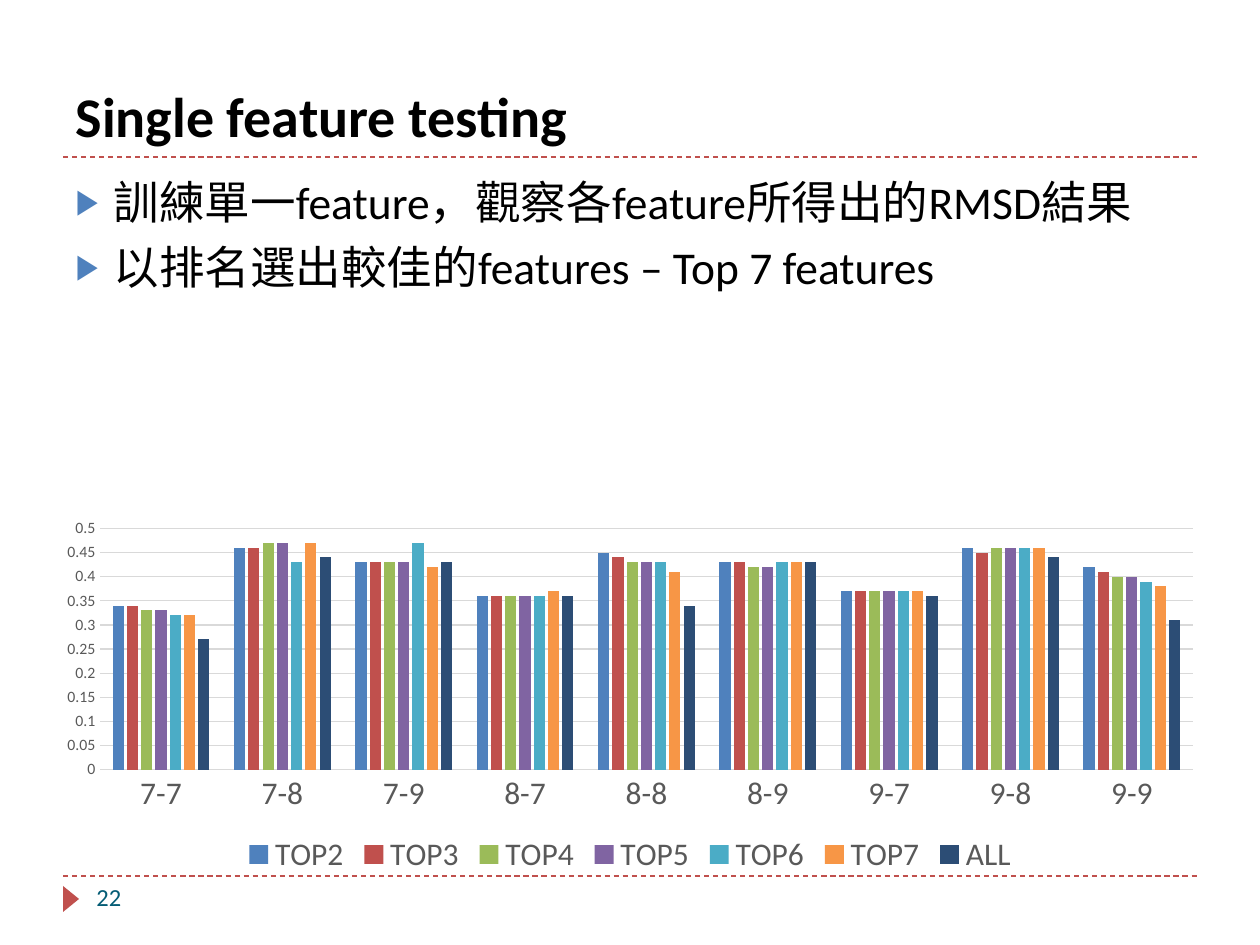
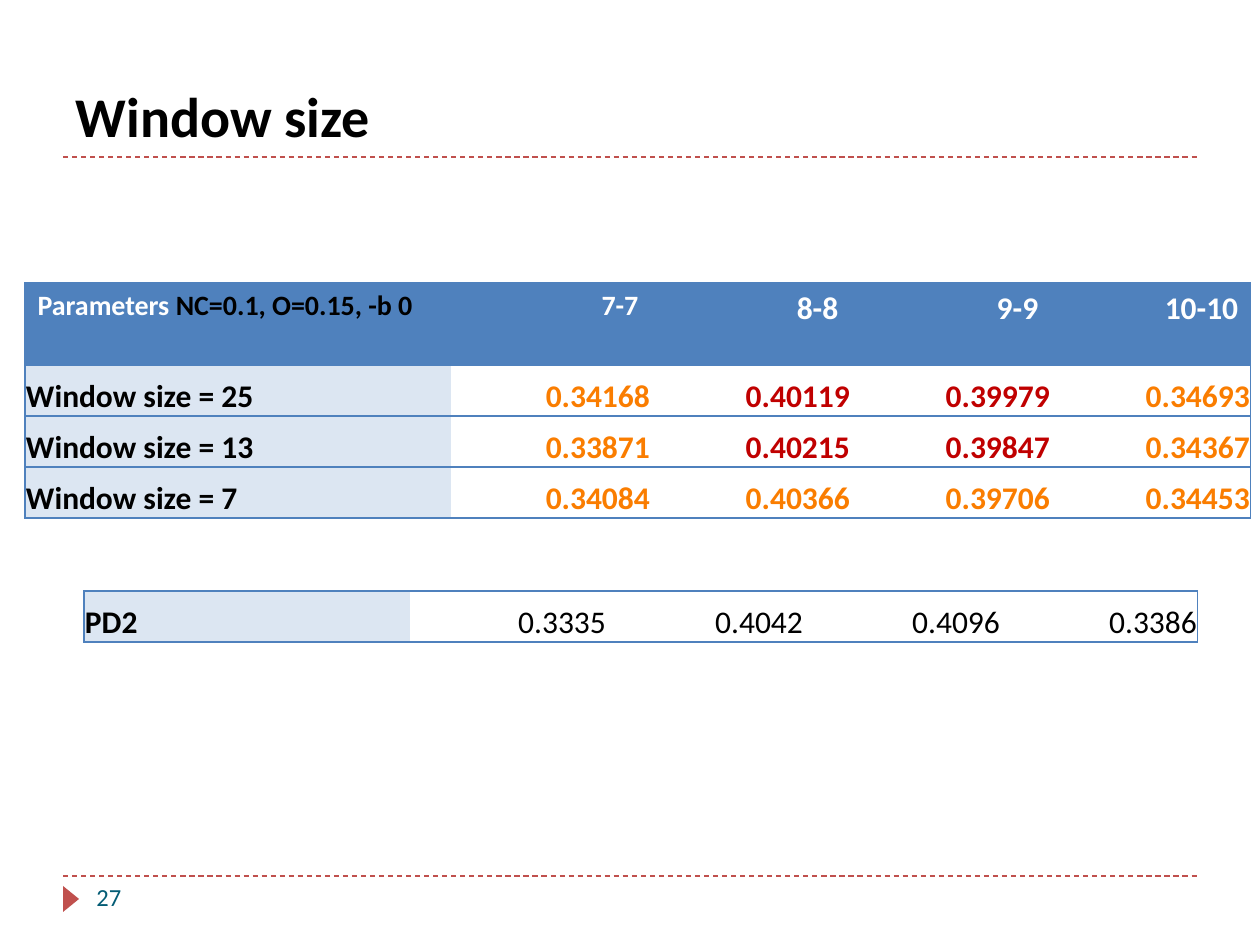
from lxml import etree
from pptx import Presentation
from pptx.chart.data import CategoryChartData
from pptx.dml.color import RGBColor
from pptx.enum.chart import XL_CHART_TYPE, XL_LEGEND_POSITION, XL_TICK_MARK
from pptx.enum.dml import MSO_LINE
from pptx.enum.shapes import MSO_CONNECTOR, MSO_SHAPE
from pptx.enum.text import MSO_ANCHOR, MSO_AUTO_SIZE, PP_ALIGN
from pptx.oxml.ns import qn
from pptx.util import Emu, Pt

FONT = "Calibri"
BLACK = RGBColor(0x00, 0x00, 0x00)
WHITE = RGBColor(0xFF, 0xFF, 0xFF)
BLUE = RGBColor(0x4F, 0x81, 0xBD)
PALE = RGBColor(0xDC, 0xE6, 0xF2)
BRICK = RGBColor(0xC0, 0x50, 0x4D)
TEAL = RGBColor(0x04, 0x5C, 0x75)
ORANGE = RGBColor(0xFA, 0x7D, 0x00)
RED = RGBColor(0xC0, 0x00, 0x00)
GREY = RGBColor(0x59, 0x59, 0x59)
GRID = RGBColor(0xD9, 0xD9, 0xD9)
GREEN = RGBColor(0x9B, 0xBB, 0x59)
PURPLE = RGBColor(0x80, 0x64, 0xA2)
AQUA = RGBColor(0x4B, 0xAC, 0xC6)
AMBER = RGBColor(0xF7, 0x96, 0x46)
NAVY = RGBColor(0x2C, 0x4D, 0x75)

PLAIN_STYLE = "{2D5ABB26-0587-4C30-8999-92F81FD0307C}"
CATS = ["7-7", "7-8", "7-9", "8-7", "8-8", "8-9", "9-7", "9-8", "9-9"]
SERIES = [
    ("TOP2", BLUE, (0.34, 0.46, 0.43, 0.36, 0.45, 0.43, 0.37, 0.46, 0.42)),
    ("TOP3", BRICK, (0.34, 0.46, 0.43, 0.36, 0.44, 0.43, 0.37, 0.45, 0.41)),
    ("TOP4", GREEN, (0.33, 0.47, 0.43, 0.36, 0.43, 0.42, 0.37, 0.46, 0.4)),
    ("TOP5", PURPLE, (0.33, 0.47, 0.43, 0.36, 0.43, 0.42, 0.37, 0.46, 0.4)),
    ("TOP6", AQUA, (0.32, 0.43, 0.47, 0.36, 0.43, 0.43, 0.37, 0.46, 0.39)),
    ("TOP7", AMBER, (0.32, 0.47, 0.42, 0.37, 0.41, 0.43, 0.37, 0.46, 0.38)),
    ("ALL", NAVY, (0.27, 0.44, 0.43, 0.36, 0.34, 0.43, 0.36, 0.44, 0.31)),
]
HEADS = [("7-7", 16), ("8-8", 18), ("9-9", 18), ("10-10", 18)]
# Each row: label, values, colour of the two middle values
SIZES = [
    ("Window size = 25", ("0.34168", "0.40119", "0.39979", "0.34693"), RED),
    ("Window size = 13", ("0.33871", "0.40215", "0.39847", "0.34367"), RED),
    ("Window size = 7", ("0.34084", "0.40366", "0.39706", "0.34453"), ORANGE),
]


def px(count):
    return Emu(round(count * 914400 / 126))


def place(shape, left, top, width, height):
    shape.left, shape.top = px(left), px(top)
    shape.width, shape.height = px(width), px(height)


def style(font, size, color, bold=False):
    font.name, font.size, font.bold = FONT, Pt(size), bold
    font.color.rgb = color


def add_rule(slide, y):
    rule = slide.shapes.add_connector(
        MSO_CONNECTOR.STRAIGHT, px(63), px(y), px(1197), px(y))
    rule.line.color.rgb = BRICK
    rule.line.width = Pt(0.75)
    rule.line.dash_style = MSO_LINE.DASH
    etree.SubElement(rule._element.spPr, qn("a:effectLst"))


def add_slide(prs, layout, title, number):
    """Start a slide with its title, dashed rules and page mark."""
    slide = prs.slides.add_slide(prs.slide_layouts[layout])
    add_rule(slide, 876)
    add_rule(slide, 157)

    mark = slide.shapes.add_shape(
        MSO_SHAPE.ISOSCELES_TRIANGLE, px(58), px(891), px(26), px(16))
    mark.rotation = 90
    mark.shadow.inherit = False
    mark.fill.solid()
    mark.fill.fore_color.rgb = BRICK
    mark.line.fill.background()

    page = slide.shapes.add_textbox(px(84), px(876), px(273), px(50))
    page.text_frame.word_wrap = True
    para = page.text_frame.paragraphs[0]
    para.text = number
    style(para.font, 14, TEAL)

    head = slide.shapes.title
    place(head, 63, 21, 616, 134)
    frame = head.text_frame
    frame.text = title
    frame.auto_size = MSO_AUTO_SIZE.NONE
    frame.vertical_anchor = MSO_ANCHOR.BOTTOM
    frame.paragraphs[0].alignment = PP_ALIGN.LEFT
    style(frame.paragraphs[0].font, 32, BLACK, True)
    return slide


def add_bullet(para):
    props = para._p.get_or_add_pPr()
    props.set("marL", str(px(38)))
    props.set("indent", str(-px(38)))
    color = etree.SubElement(props, qn("a:buClr"))
    etree.SubElement(color, qn("a:srgbClr"), val=str(BLUE))
    etree.SubElement(props, qn("a:buSzPct"), val="76000")
    etree.SubElement(props, qn("a:buFont"), typeface="Arial")
    etree.SubElement(props, qn("a:buChar"), char="▶")


def fill_list(body, items):
    place(body, 63, 168, 1134, 680)
    frame = body.text_frame
    frame.text = "\n".join(items)
    frame.auto_size = MSO_AUTO_SIZE.NONE
    for index, para in enumerate(frame.paragraphs):
        add_bullet(para)
        para.space_before = Pt(6 if index else 0)
        style(para.font, 26, BLACK)


def add_bars(slide):
    data = CategoryChartData()
    data.categories = CATS
    for name, _, values in SERIES:
        data.add_series(name, values)
    chart = slide.shapes.add_chart(
        XL_CHART_TYPE.COLUMN_CLUSTERED,
        px(44), px(512), px(1172), px(368), data).chart
    chart.has_title = False
    style(chart.font, 10, BLACK)
    chart.has_legend = True
    chart.legend.position = XL_LEGEND_POSITION.BOTTOM
    chart.legend.include_in_layout = False
    style(chart.legend.font, 18, GREY)

    plot = chart.plots[0]
    plot.gap_width, plot.overlap = 219, -27
    plot.vary_by_categories = False
    for bars, (_, color, _) in zip(plot.series, SERIES):
        bars.format.fill.solid()
        bars.format.fill.fore_color.rgb = color

    cats, vals = chart.category_axis, chart.value_axis
    for axis, size in ((cats, 18), (vals, 9)):
        axis.major_tick_mark = axis.minor_tick_mark = XL_TICK_MARK.NONE
        style(axis.tick_labels.font, size, GREY)
    vals.minimum_scale, vals.maximum_scale, vals.major_unit = 0, 0.5, 0.05
    vals.format.line.fill.background()
    for line in (cats.format.line, vals.major_gridlines.format.line):
        line.color.rgb = GRID
        line.width = Pt(0.75)


def add_border(cell, sides):
    props = cell._tc.get_or_add_tcPr()
    for side in sides:
        line = etree.SubElement(props, qn("a:ln" + side), w=str(Pt(0.75)))
        fill = etree.SubElement(line, qn("a:solidFill"))
        etree.SubElement(fill, qn("a:srgbClr"), val=str(BLUE))


def add_grid(slide, left, top, widths, heights):
    """Add an unstyled table with ruled rows and an outer frame."""
    table = slide.shapes.add_table(
        len(heights), len(widths), px(left), px(top),
        px(sum(widths)), px(sum(heights))).table
    table.first_row = table.horz_banding = False
    table._tbl.tblPr.find(qn("a:tableStyleId")).text = PLAIN_STYLE
    for col, width in zip(table.columns, widths):
        col.width = px(width)
    for row, height in zip(table.rows, heights):
        row.height = px(height)
        last = len(widths) - 1
        for index, cell in enumerate(row.cells):
            ends = ("L" if index == 0 else "") + ("R" if index == last else "")
            add_border(cell, ends + "TB")
    return table


def write(cell, text, size, color, bold=True, align=PP_ALIGN.RIGHT):
    para = cell.text_frame.paragraphs[0]
    para.text = text
    para.alignment = align
    style(para.font, size, color, bold)


def paint(cell, color):
    cell.fill.solid()
    cell.fill.fore_color.rgb = color


def fill_head(cells):
    for cell in cells:
        paint(cell, BLUE)
    para = cells[0].text_frame.paragraphs[0]
    for text, color in (("Parameters ", WHITE),
                        ("NC=0.1, O=0.15, -b 0", BLACK)):
        run = para.add_run()
        run.text = text
        style(run.font, 16, color, True)
    for cell, (text, size) in zip(cells[1:], HEADS):
        write(cell, text, size, WHITE)


def fill_row(cells, label, values, colors, bold=True):
    for cell in cells:
        cell.vertical_anchor = MSO_ANCHOR.BOTTOM
        cell.margin_left = cell.margin_right = cell.margin_top = px(1)
        cell.margin_bottom = 0
    paint(cells[0], PALE)
    write(cells[0], label, 18, BLACK, align=PP_ALIGN.LEFT)
    for cell, value, color in zip(cells[1:], values, colors):
        write(cell, value, 18, color, bold)


def main():
    prs = Presentation()
    prs.slide_width, prs.slide_height = px(1260), px(945)

    slide = add_slide(prs, 1, "Single feature testing", "22")
    fill_list(slide.placeholders[1], [
        "訓練單一feature，觀察各feature所得出的RMSD結果",
        "以排名選出較佳的features – Top 7 features",
    ])
    add_bars(slide)

    slide = add_slide(prs, 5, "Window size", "27")
    table = add_grid(slide, 25, 283, [426] + [200] * 4, [82] + [51] * 3)
    rows = [list(row.cells) for row in table.rows]
    fill_head(rows[0])
    for cells, (label, values, mid) in zip(rows[1:], SIZES):
        fill_row(cells, label, values, (ORANGE, mid, mid, ORANGE))

    table = add_grid(slide, 84, 591, [326] + [197] * 4, [51])
    fill_row(list(table.rows[0].cells), "PD2",
             ("0.3335", "0.4042", "0.4096", "0.3386"), [BLACK] * 4, False)

    prs.save("out.pptx")


if __name__ == "__main__":
    main()
